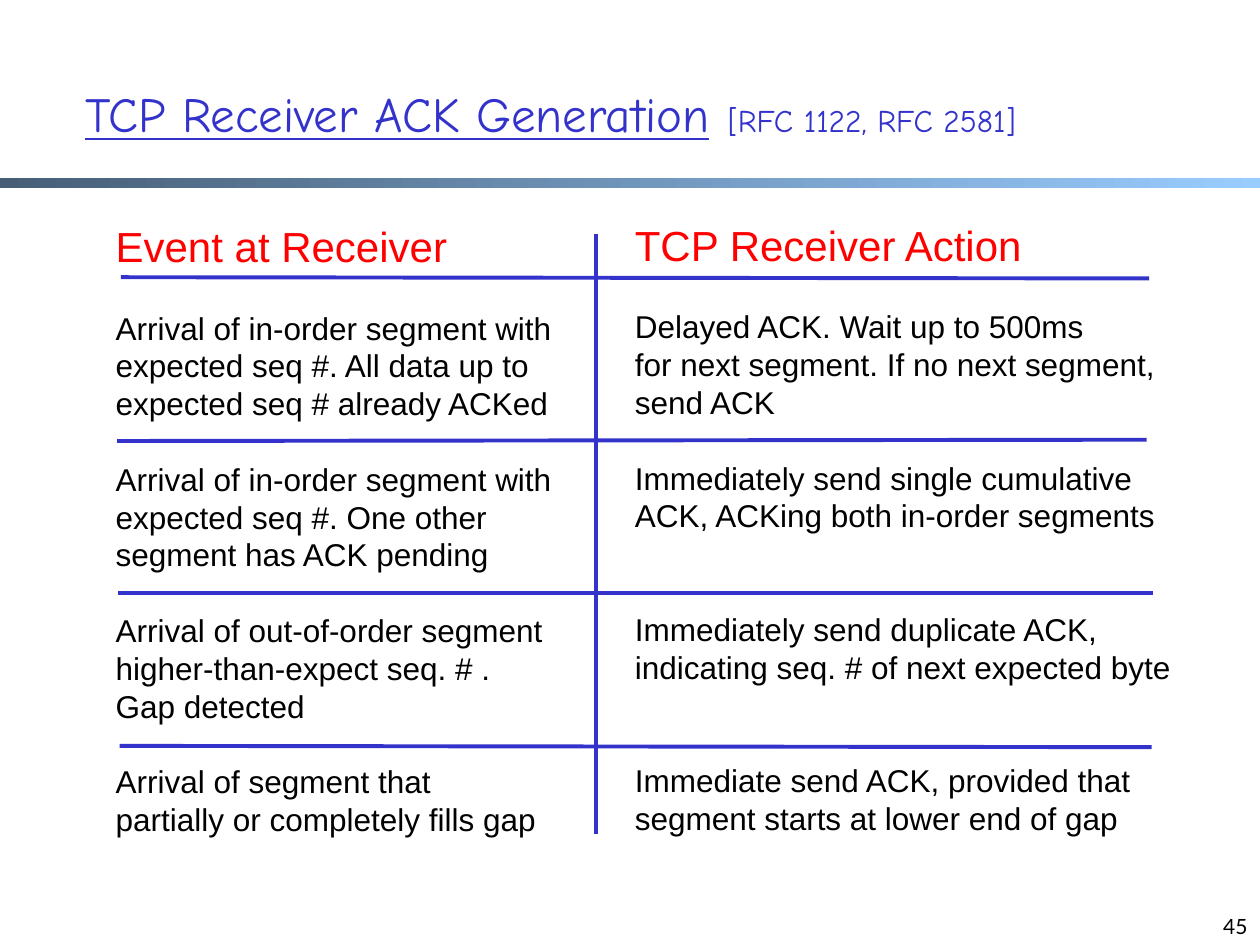
from dataclasses import dataclass

from lxml.etree import SubElement
from pptx import Presentation
from pptx.dml.color import RGBColor
from pptx.enum.shapes import MSO_CONNECTOR, MSO_SHAPE
from pptx.enum.text import MSO_ANCHOR, PP_ALIGN
from pptx.oxml.ns import qn
from pptx.util import Inches, Pt


@dataclass(frozen=True)
class Theme:
    """Colours, fonts and type sizes of the slide."""
    blue: str = "3333CC"
    red: str = "FF0000"
    black: str = "000000"
    bar_start: str = "475E76"
    bar_end: str = "99CCFF"
    title_font: str = "Comic Neue"
    body_font: str = "Arial"
    number_font: str = "Lato"
    title_size: int = 28
    gap_size: int = 32
    reference_size: int = 18
    heading_size: int = 24
    body_size: int = 18
    number_size: int = 12
    line_width: float = 2.25
    leading: float = 1.2


THEME = Theme()
ROW_LINES = 4
HEADING_LINES = 3

EVENTS = [
    ["Arrival of in-order segment with",
     "expected seq #. All data up to",
     "expected seq # already ACKed"],
    ["Arrival of in-order segment with",
     "expected seq #. One other",
     "segment has ACK pending"],
    ["Arrival of out-of-order segment",
     "higher-than-expect seq. # .",
     "Gap detected"],
    ["Arrival of segment that",
     "partially or completely fills gap"],
]
ACTIONS = [
    ["Delayed ACK. Wait up to 500ms",
     "for next segment. If no next segment,",
     "send ACK"],
    ["Immediately send single cumulative",
     "ACK, ACKing both in-order segments"],
    ["Immediately send duplicate ACK,",
     "indicating seq. # of next expected byte"],
    ["Immediate send ACK, provided that",
     "segment starts at lower end of gap"],
]
RULES = [
    (0.96, 2.2, 9.12, 2.21),
    (0.93, 3.5, 9.1, 3.49),
    (0.94, 4.71, 9.15, 4.71),
    (0.95, 5.92, 9.14, 5.93),
    (4.73, 1.86, 4.73, 6.62),
]


def add_box(slide, left, top, width, height, anchor=MSO_ANCHOR.TOP, wrap=True):
    """Add a text box and return its text frame."""
    sp = slide.shapes.add_textbox(
        Inches(left), Inches(top), Inches(width), Inches(height))
    tf = sp.text_frame
    tf.word_wrap = wrap
    tf.vertical_anchor = anchor
    return tf


def add_run(p, text, font, size, color, underline=False):
    """Append a formatted run to a paragraph."""
    r = p.add_run()
    r.text = text
    r.font.name = font
    r.font.size = Pt(size)
    r.font.color.rgb = RGBColor.from_string(color)
    r.font.underline = underline


def add_bar(slide):
    """Draw the gradient band under the title."""
    sp = slide.shapes.add_shape(
        MSO_SHAPE.RECTANGLE, 0, Inches(1.41), Inches(10), Inches(0.08))
    sp.shadow.inherit = False
    sp.line.fill.background()
    sp.fill.gradient()
    sp.fill.gradient_angle = 0
    for stop, position, color in zip(
            sp.fill.gradient_stops, (0, 1), (THEME.bar_start, THEME.bar_end)):
        stop.position = position
        stop.color.rgb = RGBColor.from_string(color)


def add_title(slide):
    """Write the title with its RFC references."""
    tf = add_box(slide, 0.58, 0.25, 8.5, 1.25, MSO_ANCHOR.MIDDLE)
    p = tf.paragraphs[0]
    for text, size, underline in (
            ("TCP Receiver ACK Generation", THEME.title_size, True),
            (" ", THEME.gap_size, False),
            ("[RFC 1122, RFC 2581]", THEME.reference_size, False)):
        add_run(p, text, THEME.title_font, size, THEME.blue, underline)


def add_column(slide, left, top, width, heading, rows):
    """Write a heading and its rows, each row a fixed number of lines deep."""
    tf = add_box(slide, left, top, width, 5.47, wrap=False)
    p = tf.paragraphs[0]
    p.line_spacing = Pt(THEME.heading_size * THEME.leading)
    add_run(p, heading, THEME.body_font, THEME.heading_size, THEME.red)
    pitch = THEME.body_size * THEME.leading
    used = HEADING_LINES
    for lines in rows:
        for i, line in enumerate(lines):
            p = tf.add_paragraph()
            p.line_spacing = Pt(pitch)
            if i == 0:
                p.space_before = Pt((ROW_LINES - used) * pitch)
            add_run(p, line, THEME.body_font, THEME.body_size, THEME.black)
        used = len(lines)


def add_rule(slide, x1, y1, x2, y2):
    """Draw one straight rule of the grid."""
    line = slide.shapes.add_connector(
        MSO_CONNECTOR.STRAIGHT, Inches(x1), Inches(y1), Inches(x2), Inches(y2))
    line.line.color.rgb = RGBColor.from_string(THEME.blue)
    line.line.width = Pt(THEME.line_width)
    SubElement(line._element.spPr, qn("a:effectLst"))


def add_number(slide, number):
    """Write the slide number in the lower right corner."""
    tf = add_box(slide, 7.67, 7, 2.33, 0.5, MSO_ANCHOR.BOTTOM)
    p = tf.paragraphs[0]
    p.alignment = PP_ALIGN.RIGHT
    add_run(p, number, THEME.number_font, THEME.number_size, THEME.black)


def main():
    """Build and save the slide."""
    prs = Presentation()
    prs.slide_width, prs.slide_height = Inches(10), Inches(7.5)
    slide = prs.slides.add_slide(prs.slide_layouts[6])
    add_bar(slide)
    add_title(slide)
    add_column(slide, 0.82, 1.7, 3.66, "Event at Receiver", EVENTS)
    add_column(slide, 4.94, 1.69, 4.45, "TCP Receiver Action", ACTIONS)
    for rule in RULES:
        add_rule(slide, *rule)
    add_number(slide, "45")
    prs.save("out.pptx")


if __name__ == "__main__":
    main()
